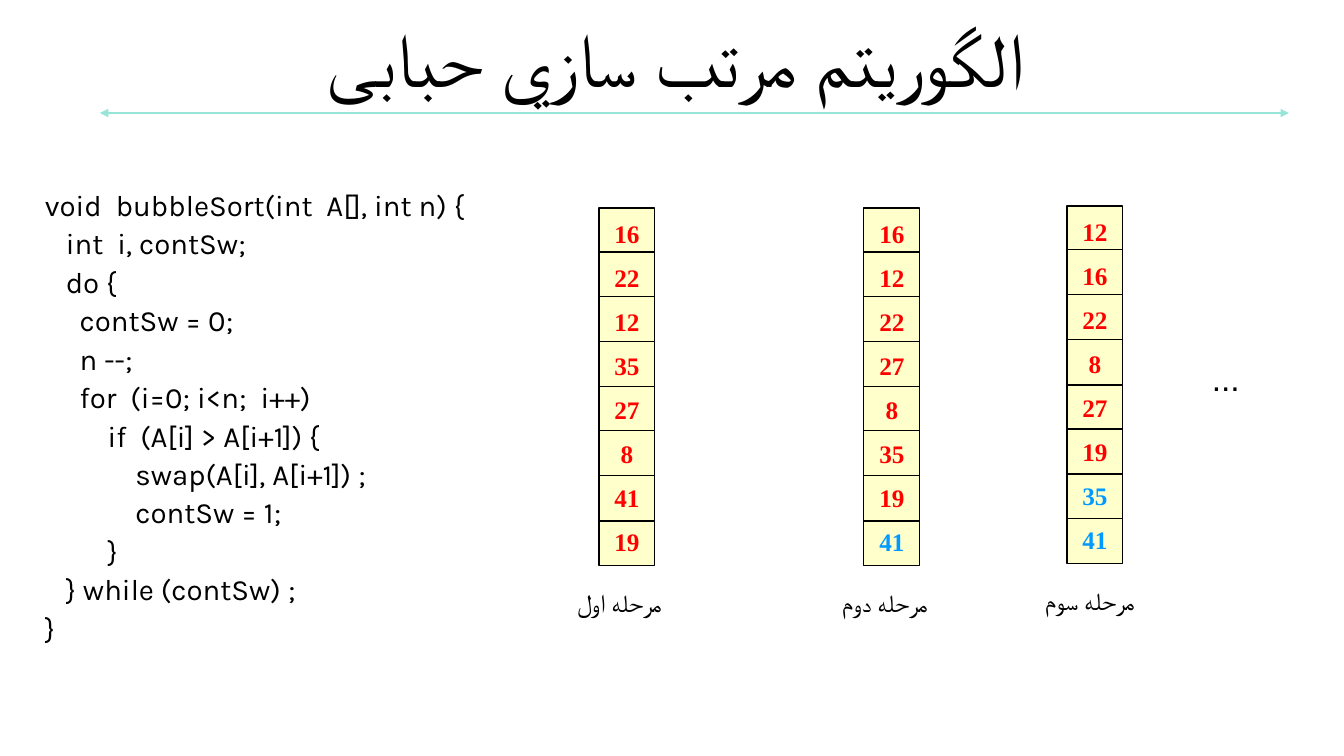
from lxml import etree
from pptx import Presentation
from pptx import util as u
from pptx.dml.color import RGBColor
from pptx.enum import shapes, text
from pptx.oxml import ns

PX = 914400 / 100.8
COLORS = {"ink": "000000", "rule": "96E5D8", "cell": "FFFFCC",
          "unsorted": "FF0000", "sorted": "0099FF"}

TITLE = "الگوريتم مرتب سازي حبابی"
CODE = """void  bubbleSort(int  A[], int n) {
   int  i, contSw;
   do {
     contSw = 0;
     n --;
     for  (i=0; i<n;  i++)
         if  (A[i] > A[i+1]) {
             swap(A[i], A[i+1]) ;
             contSw = 1;
         }
   } while (contSw) ;
}"""
# left, top, label width, label, values, count of values already in place
STAGES = [
    (599, 208, 124, "مرحله اول", [16, 22, 12, 35, 27, 8, 41, 19], 0),
    (864, 208, 129, "مرحله دوم", [16, 12, 22, 27, 8, 35, 19, 41], 1),
    (1067, 206, 142, "مرحله سوم", [12, 16, 22, 8, 27, 19, 35, 41], 2),
]
COLUMN_W, COLUMN_H = 56, 358
VALUE_PITCH = 44


def px(length):
    return u.Emu(round(length * PX))


def color(name):
    return RGBColor.from_string(COLORS[name])


def add_text(parent, box, content, size, font, ink="ink", bold=False,
             align=None, wrap=True):
    frame = parent.add_textbox(*map(px, box)).text_frame
    frame.word_wrap = wrap
    frame.text = content
    for paragraph in frame.paragraphs:
        paragraph.alignment = align
        for run in paragraph.runs:
            run.font.size = u.Pt(size)
            run.font.name = font
            run.font.bold = bold
            run.font.color.rgb = color(ink)
    return frame


def add_line(parent, left, right, y, ink, width):
    line = parent.add_connector(shapes.MSO_CONNECTOR.STRAIGHT,
                                px(left), px(y), px(right), px(y))
    line.line.color.rgb = color(ink)
    line.line.width = u.Pt(width)
    etree.SubElement(line._element.spPr, ns.qn("a:effectLst"))
    return line


def add_title(slide):
    frame = add_text(slide.shapes, (38, 23, 1276, 80), TITLE, 54, "Arial",
                     align=text.PP_ALIGN.CENTER)
    frame.vertical_anchor = text.MSO_ANCHOR.MIDDLE
    heading = frame.paragraphs[0]
    heading.line_spacing = 0.9
    heading._p.get_or_add_pPr().set("rtl", "1")

    rule = add_line(slide.shapes, 100, 1289, 113, "rule", 1.5)
    outline = rule.line._get_or_add_ln()
    for end in ("a:headEnd", "a:tailEnd"):
        etree.SubElement(outline, ns.qn(end), type="triangle")


def add_code(slide):
    frame = add_text(slide.shapes, (35, 186, 457, 486), CODE, 21, "Karla")
    for number, line in enumerate(frame.paragraphs):
        line.line_spacing = 0.9
        line.space_before = u.Pt(4.8 if number else 0)
        properties = line._p.get_or_add_pPr()
        properties.set("marL", str(u.Inches(0.38)))
        properties.set("indent", str(-u.Inches(0.38)))


def add_stage(slide, left, top, label_width, label, values, placed):
    """Draw the array as one column after a pass, with its label below."""
    column = slide.shapes.add_group_shape().shapes
    frame = column.add_shape(shapes.MSO_SHAPE.RECTANGLE,
                             *map(px, (left, top, COLUMN_W, COLUMN_H)))
    frame.shadow.inherit = False
    frame.fill.solid()
    frame.fill.fore_color.rgb = color("cell")
    frame.line.color.rgb = color("ink")
    frame.line.width = u.Pt(0.75)

    count = len(values)
    for row in range(1, count):
        add_line(column, left, left + COLUMN_W, top + COLUMN_H * row // count,
                 "ink", 0.75)
    for row, value in enumerate(values):
        ink = "sorted" if row >= count - placed else "unsorted"
        add_text(slide.shapes,
                 (left, top + 5 + VALUE_PITCH * row, COLUMN_W, 39),
                 str(value), 18, "Times New Roman", ink, True,
                 text.PP_ALIGN.CENTER)
    add_text(slide.shapes, (left - 32, top + 374, label_width, 40),
             label, 18, "Karla")


def main():
    deck = Presentation()
    deck.slide_width, deck.slide_height = px(1344), px(756)
    slide = deck.slides.add_slide(deck.slide_layouts[6])
    add_title(slide)
    add_code(slide)
    for stage in STAGES:
        add_stage(slide, *stage)
    add_text(slide.shapes, (1202, 353, 48, 50), "...", 24, "Arial", wrap=False)
    deck.save("out.pptx")


if __name__ == "__main__":
    main()
